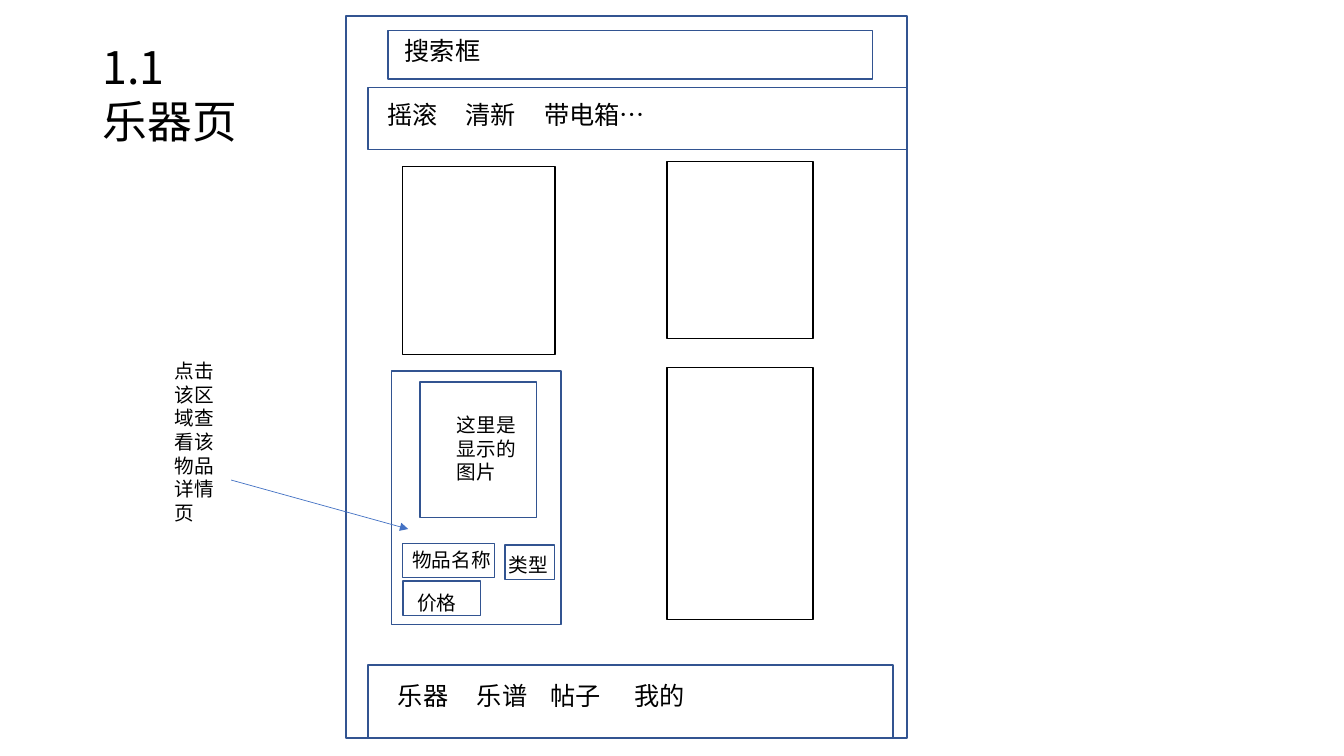
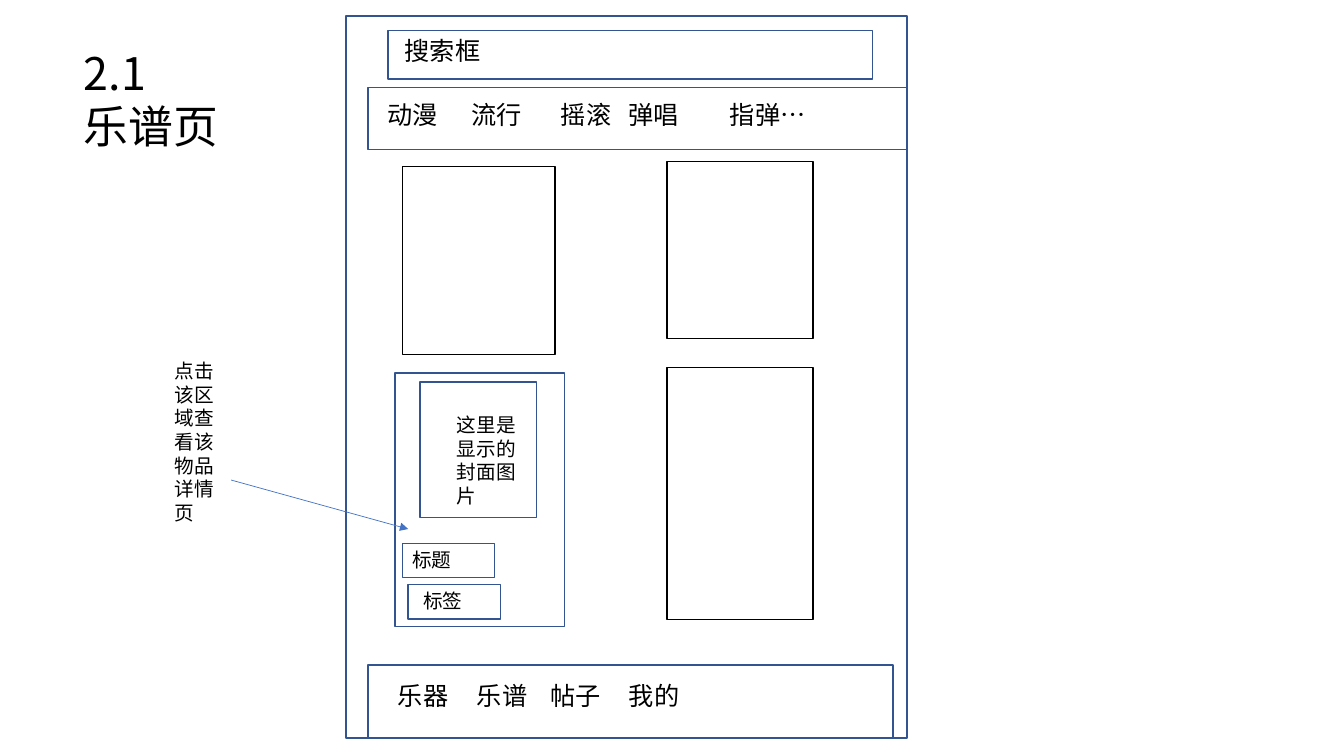
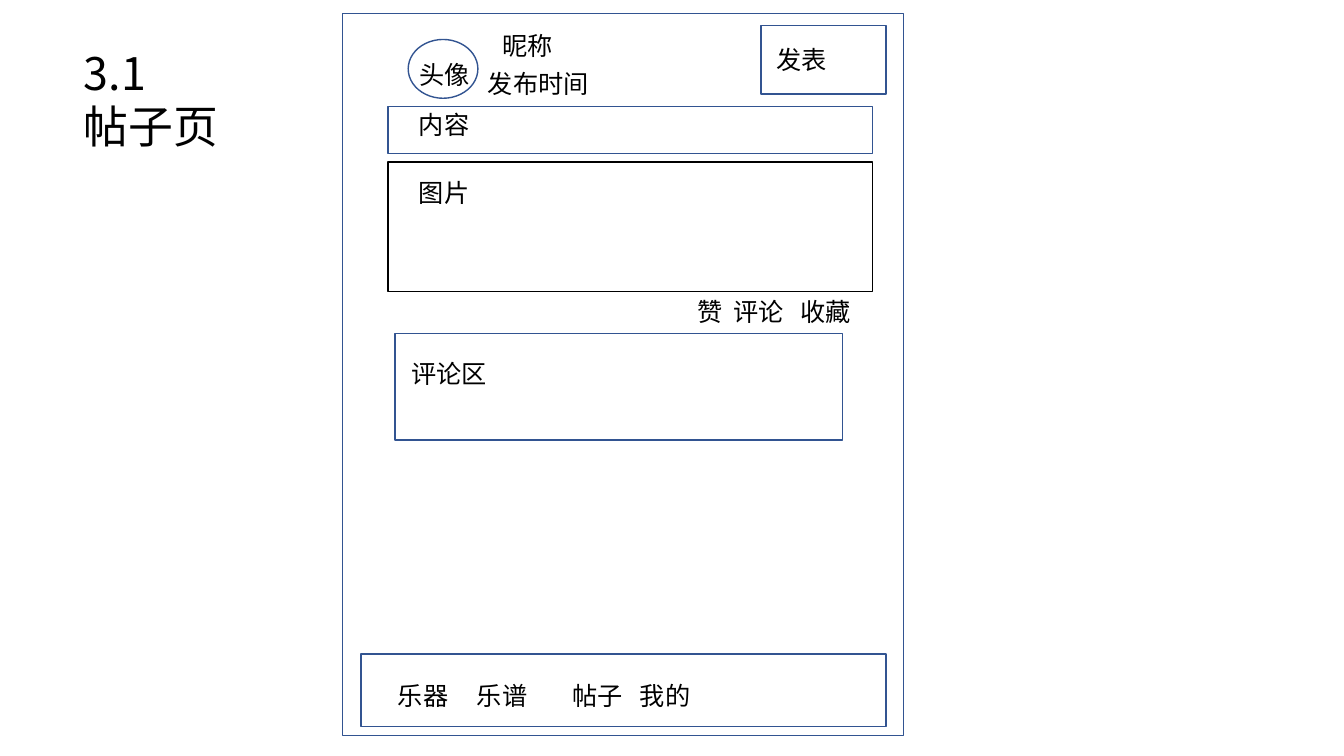
from lxml.etree import SubElement
from pptx import Presentation
from pptx.dml.color import RGBColor
from pptx.enum.shapes import MSO_CONNECTOR as Link, MSO_SHAPE as Shape
from pptx.enum.text import MSO_ANCHOR as Anchor, PP_ALIGN as Align
from pptx.oxml import parse_xml
from pptx.oxml.ns import nsdecls, qn
from pptx.util import Inches, Pt

BLUE = RGBColor(0x32, 0x54, 0x91)
SKY = RGBColor(0x44, 0x72, 0xC4)
BLACK = RGBColor(0, 0, 0)
WHITE = RGBColor(255, 255, 255)
FACE = "Noto Sans CJK SC"
COLS = 16
SMALL, BODY, HEAD = 14, 18, 32
ROW = 0.48     # height of one line of body text
TAG = 0.41     # height of one line of small text
TILE = 1.74    # width of the right-hand tiles


class Deck:
    """Wireframe style on a grid of 16 by 9 square cells."""

    def __init__(self):
        self.prs = Presentation()
        self.prs.slide_width = Inches(13.33)
        self.prs.slide_height = Inches(7.5)
        self.cell = self.prs.slide_width / COLS
        self.slide = None

    def grid(self, *cells):
        return [round(c * self.cell) for c in cells]

    def page(self, x, y, *lines):
        """Start a slide with its title at the given cell."""
        self.slide = self.prs.slides.add_slide(self.prs.slide_layouts[5])
        title = self.slide.shapes.title
        title.left, title.top, title.width, title.height = self.grid(
            x, y, 2.38, 1.42)
        self.style(title.text_frame, "\n".join(lines), HEAD)

    def style(self, frame, text, size, tabs=()):
        frame.text = text
        frame.word_wrap = True
        frame.vertical_anchor = Anchor.TOP
        for par in frame.paragraphs:
            par.alignment = Align.LEFT
            par.line_spacing = Pt(size * 1.2)
            font = par.font
            font.size, font.name, font.bold = Pt(size), FACE, False
            font.color.rgb = BLACK
            props = par._p.pPr.find(qn("a:defRPr"))
            SubElement(props, qn("a:ea")).set("typeface", FACE)
            if tabs:
                stops = parse_xml(f"<a:tabLst {nsdecls('a')}/>")
                for pos in self.grid(*tabs):
                    SubElement(stops, qn("a:tab"), pos=str(pos), algn="l")
                props.addprevious(stops)

    def box(self, x, y, w, h, color=BLUE, kind=Shape.RECTANGLE):
        shape = self.slide.shapes.add_shape(kind, *self.grid(x, y, w, h))
        shape.shadow.inherit = False
        shape.fill.solid()
        shape.fill.fore_color.rgb = WHITE
        shape.line.color.rgb = color
        shape.line.width = Pt(1)

    def text(self, x, y, w, h, text, size=BODY, tabs=()):
        area = self.slide.shapes.add_textbox(*self.grid(x, y, w, h))
        self.style(area.text_frame, text, size, tabs)
        return area

    def menu(self, x, y, w, words, tabs):
        """Words in one line, each after the first at its tab stop."""
        self.text(x, y, w, ROW, "\t".join(words), tabs=tabs)

    def arrow(self, *ends):
        link = self.slide.shapes.add_connector(Link.STRAIGHT, *self.grid(*ends))
        link.line.color.rgb = SKY
        link.line.width = Pt(0.5)
        SubElement(link.line._get_or_add_ln(), qn("a:tailEnd"), type="triangle")
        SubElement(link._element.spPr, qn("a:effectLst"))

    def nav(self, x, y, tabs):
        self.box(x, y, 6.25, 0.86)
        self.menu(4.62, 8.04, 5.77, ("乐器", "乐谱", "帖子", "我的"), tabs)

    def shop(self, card, cover, lines, tags, words, tabs, stops):
        """A list page: search, filters, four tiles and the bottom bar."""
        self.box(4.12, 0.19, 6.68, 8.6)
        self.box(*card, 2.02, 3.02)
        self.box(7.94, 4.38, TILE, 3, BLACK)
        self.box(5, 4.55, 1.39, 1.61)
        self.text(5.32, 4.86, 1.08, lines, cover, SMALL)
        for label, x, y, w, left, top, wide in tags:
            self.box(x, y, w, TAG)
            self.text(left, top, wide, TAG, label, SMALL)
        self.arrow(2.62, 5.68, 4.86, 6.3)
        note = self.text(1.96, 4.22, 0.79, 2.1, "点击该区域查看该物品详情页", SMALL)
        note.fill.solid()
        note.fill.fore_color.rgb = WHITE
        self.box(4.38, 1.04, 6.42, 0.74)
        self.menu(4.49, 1.12, 6.14, words, tabs)
        self.box(4.62, 0.36, 5.77, 0.58)
        self.text(4.7, 0.36, 5.24, ROW, "搜索框")
        self.box(4.79, 1.98, 1.82, 2.24, BLACK)
        self.box(7.94, 1.92, TILE, 2.11, BLACK)
        self.nav(4.38, 7.92, stops)

    def post(self):
        """A post with its author, picture and comments."""
        self.box(4.08, 0.16, 6.68, 8.6)
        self.box(4.62, 1.93, 5.77, 1.54, BLACK)
        self.nav(4.3, 7.79, (0.94, 2.08, 2.88))
        self.box(4.62, 1.27, 5.77, 0.56)
        self.box(4.86, 0.47, 0.83, 0.7, kind=Shape.OVAL)
        self.box(9.06, 0.3, 1.49, 0.82)
        self.box(4.7, 3.97, 5.33, 1.27)
        for label, x, y, w in (
            ("内容", 4.87, 1.24, 3.77),
            ("图片", 4.87, 2.05, 3.77),
            ("头像", 4.87, 0.65, 1.01),
            ("昵称", 5.86, 0.3, 1.97),
            ("发布时间", 5.69, 0.76, 1.99),
            ("发表", 9.12, 0.47, 1.27),
            ("评论区", 4.78, 4.21, 1.64),
        ):
            self.text(x, y, w, ROW, label)
        self.menu(8.18, 3.47, 2.22, ("赞", "评论", "收藏"), (0.43, 1.23))


def main():
    deck = Deck()
    deck.page(1.1, 0.41, "1.1", "乐器页")
    deck.shop(
        (4.66, 4.42), "这里是显示的图片", 0.97,
        (("物品名称", 4.79, 6.47, 1.1, 4.79, 6.46, 1.19),
         ("价格", 4.8, 6.92, 0.92, 4.85, 6.98, 0.92),
         ("类型", 6.01, 6.49, 0.59, 5.94, 6.53, 0.74)),
        ("摇滚", "清新", "带电箱…"), (0.93, 1.87), (0.94, 1.81, 2.81))
    deck.page(0.88, 0.48, "2.1", "乐谱页")
    deck.shop(
        (4.7, 4.44), "这里是显示的封面图片", 1.25,
        (("标题", 4.79, 6.47, 1.1, 4.79, 6.46, 0.84),
         ("标签", 4.86, 6.96, 1.1, 4.92, 6.95, 0.84)),
        ("动漫", "流行", "摇滚", "弹唱", "指弹…"),
        (1, 2.07, 2.87, 4.08), (0.94, 1.81, 2.75))
    deck.page(0.88, 0.48, "3.1", "帖子页")
    deck.post()
    deck.prs.save("out.pptx")


if __name__ == "__main__":
    main()
